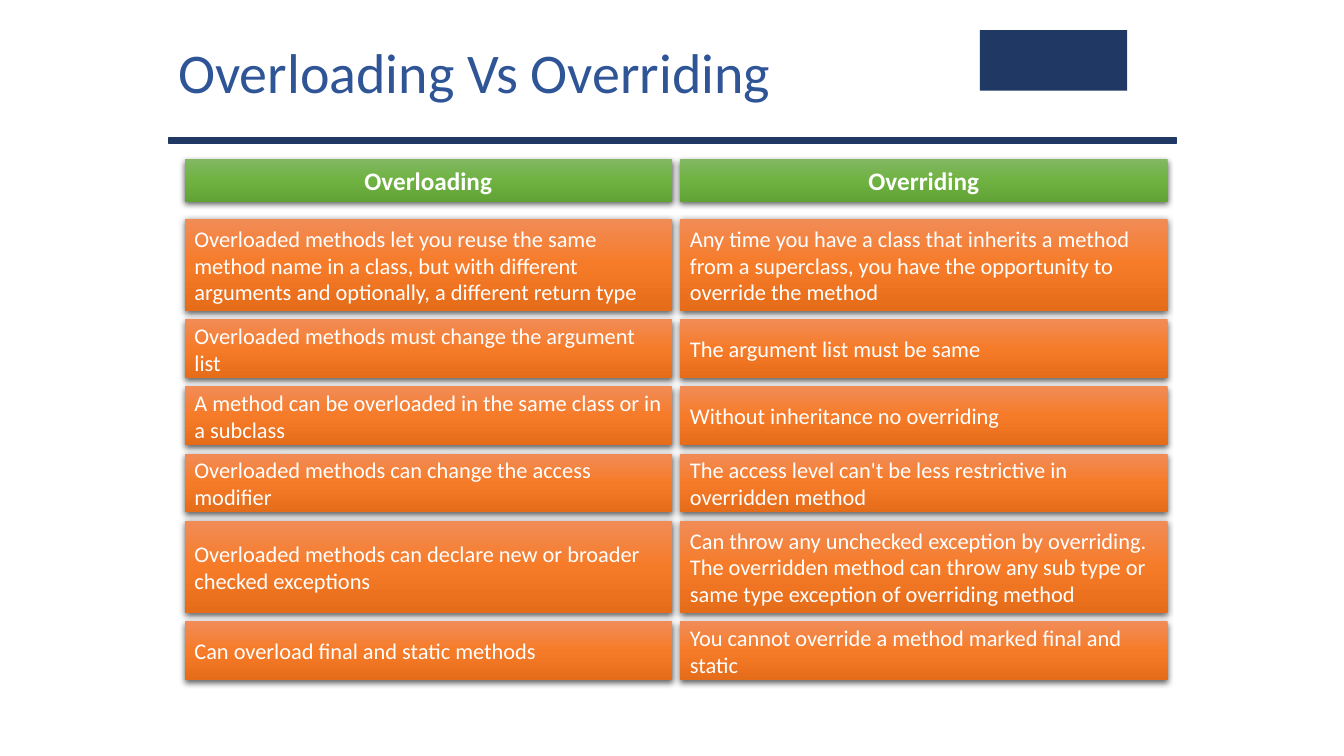
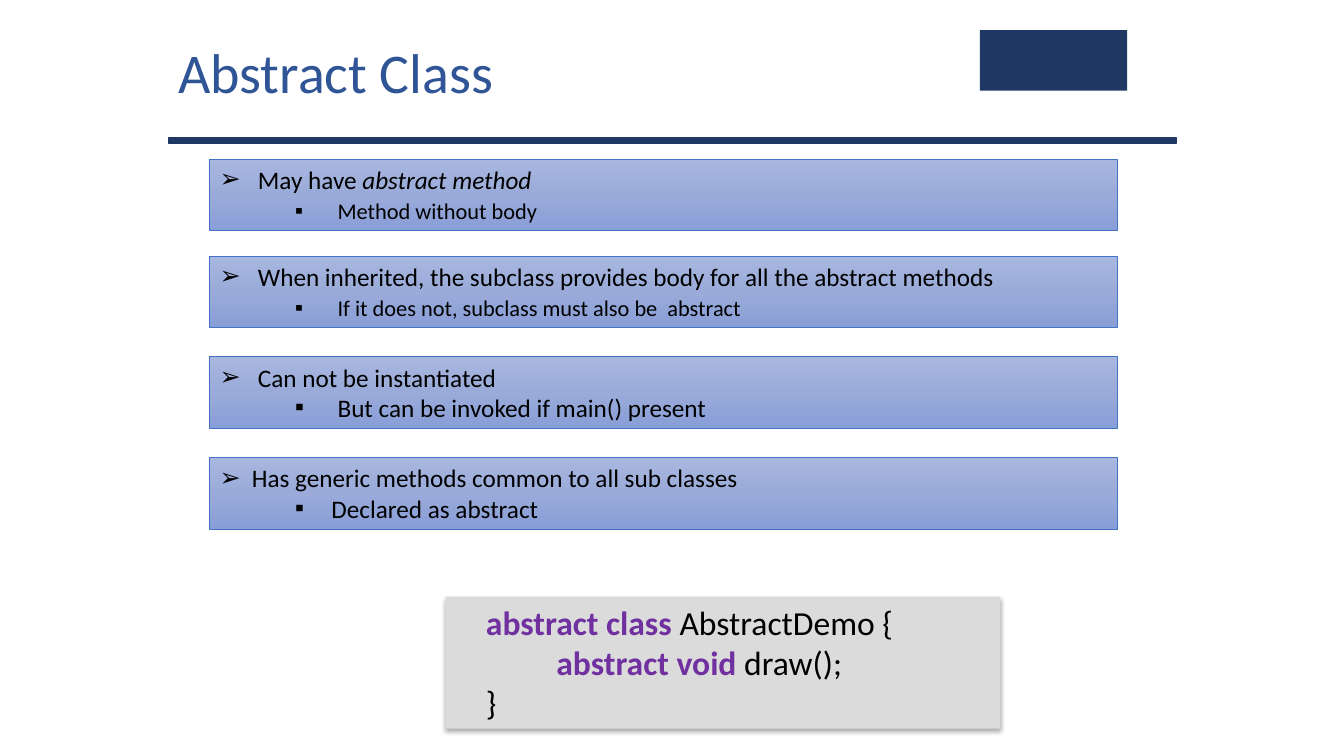
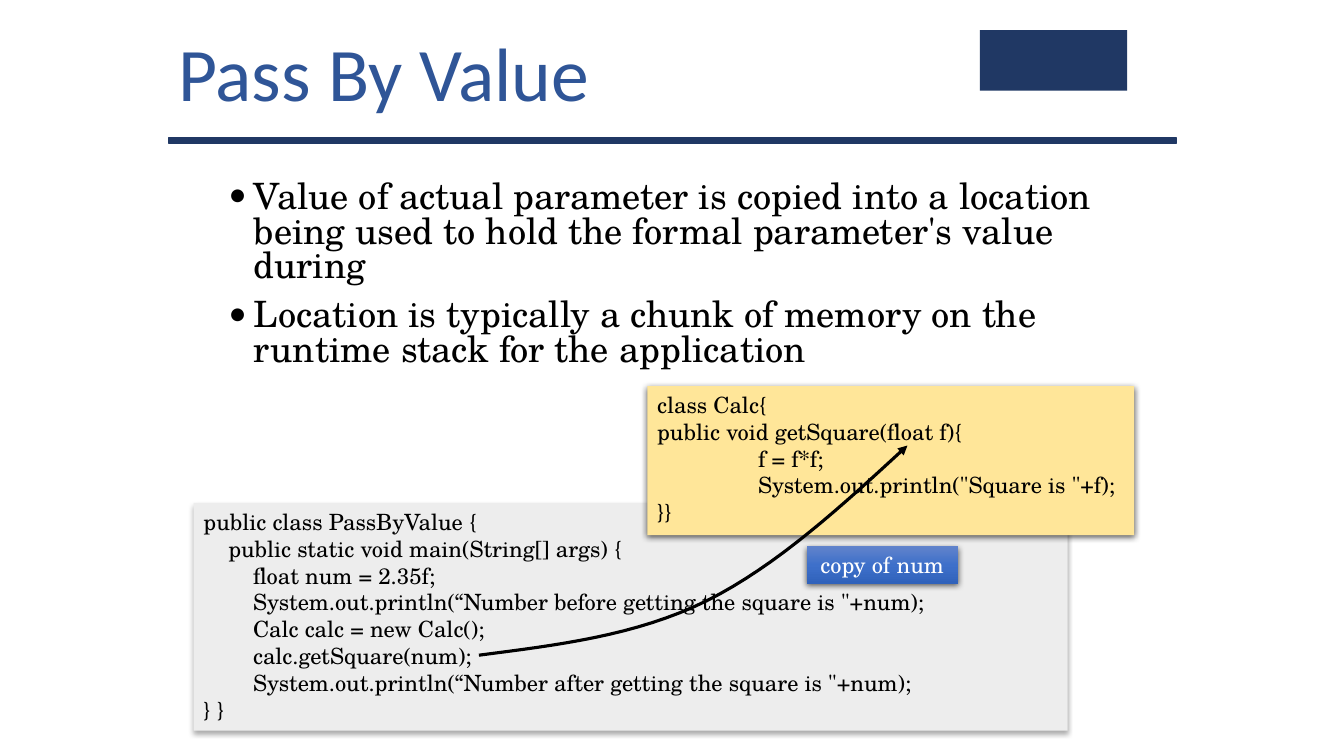
from dataclasses import dataclass

from lxml.etree import SubElement
from pptx import Presentation
from pptx.dml.color import RGBColor
from pptx.enum.shapes import MSO_SHAPE
from pptx.enum.text import MSO_ANCHOR, PP_ALIGN
from pptx.oxml.ns import qn
from pptx.util import Inches, Pt


@dataclass(frozen=True)
class Theme:
    # Fonts
    sans: str = "Calibri"
    serif: str = "TeX Gyre Schola"
    # Type sizes
    title: float = 40
    big_title: float = 54
    lead: float = 25.9
    demo: float = 24
    heading: float = 18
    body: float = 16
    # Colours
    navy: str = "203864"
    blue: str = "2F5597"
    outline: str = "4472C4"
    keyword: str = "7030A0"
    black: str = "000000"
    white: str = "FFFFFF"
    grey: str = "DBDBDB"
    pale_grey: str = "EDEDED"
    yellow: str = "FFE699"
    # Gradients, top to bottom
    green_fade: tuple = ("81B861", "6FB242", "62A336")
    orange_fade: tuple = ("F18C57", "F67B28", "E56C19")
    lilac_fade: tuple = ("A8B7DF", "9AABD9", "889ED7")
    blue_fade: tuple = ("6183CB", "3E70CA", "3062BB")
    # Shadows: opacity in percent, blur and distance in points
    strong_shadow: tuple = (63, 4.5, 1.5)
    soft_shadow: tuple = (32, 3.5, 2.2)


THEME = Theme()


def rgb(value):
    return RGBColor.from_string(value)


def place(box):
    return [Inches(length) for length in box]


# ---- Text ----

def add_bullet(paragraph, mark, margin, hanging):
    props = paragraph._p.get_or_add_pPr()
    props.set("marL", str(Inches(margin)))
    props.set("indent", str(-Inches(hanging)))
    SubElement(props, qn("a:buFont")).set("typeface", THEME.sans)
    SubElement(props, qn("a:buChar")).set("char", mark)


def add_code_tab(paragraph):
    tabs = SubElement(paragraph._p.get_or_add_pPr(), qn("a:tabLst"))
    stop = SubElement(tabs, qn("a:tab"))
    stop.set("pos", str(Inches(1)))
    stop.set("algn", "l")


def set_font(font, name, size, color, bold=False, italic=False):
    font.name, font.size = name, Pt(size)
    font.bold, font.italic = bold, italic
    font.color.rgb = rgb(color)


def fill_paragraph(paragraph, content, name, size, color, **style):
    """Content is plain text, or a list of (text, accent) runs."""
    paragraph.alignment = style.pop("align", PP_ALIGN.LEFT)
    set_font(paragraph.font, name, size, color, **style)
    for text, accent in [(content, {})] if isinstance(content, str) else content:
        for index, line in enumerate(text.splitlines()):
            if index:
                paragraph.add_line_break()
            run = paragraph.add_run()
            run.text = line
            if accent:
                set_font(run.font, name, size, **{"color": color, **accent})


def paragraphs(frame, count):
    return [frame.paragraphs[0]] + [frame.add_paragraph() for _ in range(count - 1)]


def add_text_frame(slide, box, anchor=MSO_ANCHOR.TOP):
    frame = slide.shapes.add_textbox(*place(box)).text_frame
    frame.word_wrap = True
    frame.vertical_anchor = anchor
    return frame


# ---- Panels ----

def add_shadow(shape, opacity, blur, distance):
    effects = shape._element.spPr.find(qn("a:effectLst"))
    shadow = SubElement(effects, qn("a:outerShdw"), blurRad=str(Pt(blur)),
                        dist=str(Pt(distance)), dir="5400000", rotWithShape="0")
    color = SubElement(shadow, qn("a:srgbClr"), val=THEME.black)
    SubElement(color, qn("a:alpha"), val=str(opacity * 1000))


def set_fade(shape, colors):
    shape.fill.gradient()
    shape.fill.gradient_angle = 270
    stops = shape._element.spPr.find(qn("a:gradFill")).find(qn("a:gsLst"))
    stops.clear()
    for index, color in enumerate(colors):
        stop = SubElement(stops, qn("a:gs"), pos=str(index * 50000))
        SubElement(stop, qn("a:srgbClr"), val=color)


def add_panel(slide, box, fill, line=None, weight=1, shadow=None, anchor=MSO_ANCHOR.TOP):
    panel = slide.shapes.add_shape(MSO_SHAPE.RECTANGLE, *place(box))
    if isinstance(fill, tuple):
        set_fade(panel, fill)
    else:
        panel.fill.solid()
        panel.fill.fore_color.rgb = rgb(fill)
    if line:
        panel.line.color.rgb = rgb(line)
        panel.line.width = Pt(weight)
    else:
        panel.line.fill.background()
    panel.shadow.inherit = False
    if shadow:
        add_shadow(panel, *shadow)
    panel.text_frame.word_wrap = True
    panel.text_frame.vertical_anchor = anchor
    return panel.text_frame


def add_code(slide, box, lines, name, size, fill, shadow):
    frame = add_panel(slide, box, fill, shadow=shadow)
    for paragraph, line in zip(paragraphs(frame, len(lines)), lines):
        add_code_tab(paragraph)
        fill_paragraph(paragraph, line, name, size, THEME.black)


# ---- Shared slide frame ----

def new_slide(deck, title, size=THEME.title):
    slide = deck.slides.add_slide(deck.slide_layouts[6])
    # Rule under the title and a plain block at the right
    add_panel(slide, (1.67, 1.37, 10, 0.05), THEME.navy, line=THEME.navy)
    add_panel(slide, (9.72, 0.3, 1.46, 0.6), THEME.navy)
    frame = add_text_frame(slide, (1.67, 0, 7.83, 1.42), MSO_ANCHOR.MIDDLE)
    fill_paragraph(frame.paragraphs[0], title, THEME.sans, size, THEME.blue)
    return slide


# ---- Slide 1: comparison ----

COMPARED = ("Overloading", "Overriding")
# Row weight, then one statement for each column
DIFFERENCES = [
    (11, "Overloaded methods let you reuse the same method name in a class, but with "
         "different arguments and optionally, a different return type",
     "Any time you have a class that inherits a method from a superclass, you have the "
     "opportunity to override the method"),
    (7, "Overloaded methods must change the argument list",
     "The argument list must be same"),
    (7, "A method can be overloaded in the same class or in a subclass",
     "Without inheritance no overriding"),
    (7, "Overloaded methods can change the access modifier",
     "The access level can't be less restrictive in overridden method"),
    (11, "Overloaded methods can declare new or broader checked exceptions",
     "Can throw any unchecked exception by overriding.\n"
     "The overridden method can throw any sub type or same type exception of "
     "overriding method"),
    (7, "Can overload final and static methods",
     "You cannot override a method marked final and static"),
]


def add_comparison(slide, box, gap=0.08, header_height=0.42, header_gap=0.17):
    left, top, width, height = box
    column_width = (width - gap) / 2

    def add_row(row_top, row_height, texts, fade, size, **style):
        for column, text in enumerate(texts):
            cell = (left + column * (column_width + gap), row_top, column_width, row_height)
            frame = add_panel(slide, cell, fade, shadow=THEME.strong_shadow,
                              anchor=MSO_ANCHOR.MIDDLE)
            fill_paragraph(frame.paragraphs[0], text, THEME.sans, size, THEME.white, **style)

    add_row(top, header_height, COMPARED, THEME.green_fade, THEME.heading,
            bold=True, align=PP_ALIGN.CENTER)

    row_top = top + header_height + header_gap
    free_height = top + height - row_top - gap * (len(DIFFERENCES) - 1)
    unit = free_height / sum(weight for weight, *_ in DIFFERENCES)
    for weight, *texts in DIFFERENCES:
        add_row(row_top, weight * unit, texts, THEME.orange_fade, THEME.body)
        row_top += weight * unit + gap


def build_comparison(deck):
    slide = new_slide(deck, "Overloading Vs Overriding")
    add_comparison(slide, (1.83, 1.58, 9.75, 5.17))


# ---- Slide 2: abstract class ----

# Top, text margin, main point, detail, detail size
FACTS = [
    (1.58, 0.38, [("May have ", {}), ("abstract method", {"italic": True})],
     "Method without body", THEME.body),
    (2.54, 0.38, "When inherited, the subclass provides body for all the abstract methods",
     "If it does not, subclass must also be  abstract", THEME.body),
    (3.54, 0.38, "Can not be instantiated",
     "But can be invoked if main() present", THEME.heading),
    (4.54, 0.32, "Has generic methods common to all sub classes",
     "Declared as abstract", THEME.heading),
]
KEYWORD = {"color": THEME.keyword, "bold": True}
ABSTRACT_DEMO = [
    [("    abstract class", KEYWORD), (" AbstractDemo {", {})],
    [("\tabstract void", KEYWORD), (" draw();", {})],
    "    }",
]


def add_fact(slide, box, margin, point, detail, detail_size):
    frame = add_panel(slide, box, THEME.lilac_fade, line=THEME.outline, weight=0.5)
    point_line, detail_line = paragraphs(frame, 2)
    add_bullet(point_line, "➢", margin, margin)
    fill_paragraph(point_line, point, THEME.sans, THEME.heading, THEME.black)
    # Smaller details keep the baseline of a full-size line
    detail_line.space_before = Pt(THEME.heading - detail_size)
    add_bullet(detail_line, "▪", margin + 0.79, margin + 0.04)
    fill_paragraph(detail_line, detail, THEME.sans, detail_size, THEME.black)


def build_abstract_class(deck):
    slide = new_slide(deck, "Abstract Class")
    for top, *fact in FACTS:
        add_fact(slide, (2.08, top, 9, 0.71), *fact)
    add_code(slide, (4.42, 5.92, 5.5, 1.31), ABSTRACT_DEMO, THEME.sans, THEME.demo,
             THEME.grey, THEME.soft_shadow)


# ---- Slide 3: pass by value ----

EXPLANATION = [
    "Value of actual parameter is copied into a location being used to hold the formal "
    "parameter's value during",
    "Location is typically a chunk of memory on the runtime stack for the application",
]
CALLER_CODE = [
    "public class PassByValue {",
    "    public static void main(String[] args) {",
    "        float num = 2.35f;",
    "        System.out.println(“Number before getting the square is \"+num);",
    "        Calc calc = new Calc();",
    "        calc.getSquare(num);",
    "        System.out.println(“Number after getting the square is \"+num);",
    "} }",
]
CALC_CODE = [
    "class Calc{",
    "public void getSquare(float f){",
    "\tf = f*f;",
    "\tSystem.out.println(\"Square is \"+f);",
    "}}",
]
# Bezier segments from the argument to the parameter
COPY_ROUTE = [
    ((4.75, 6.5), (5.52, 6.4), (6.3, 6.31), (7.01, 5.96)),
    ((7.01, 5.96), (7.71, 5.61), (8.36, 5.01), (9, 4.42)),
]


def bezier_point(segment, t):
    weights = ((1 - t) ** 3, 3 * t * (1 - t) ** 2, 3 * t ** 2 * (1 - t), t ** 3)
    return tuple(Inches(sum(w * point[axis] for w, point in zip(weights, segment)))
                 for axis in (0, 1))


def add_explanation(slide, box):
    frame = add_text_frame(slide, box)
    for index, paragraph in enumerate(paragraphs(frame, len(EXPLANATION))):
        paragraph.line_spacing = 0.8
        paragraph.space_before = Pt(10 if index else 0)
        add_bullet(paragraph, "•", 0.25, 0.25)
        fill_paragraph(paragraph, EXPLANATION[index], THEME.serif, THEME.lead, THEME.black)


def add_copy_arrow(slide, route, steps=16):
    points = [bezier_point(segment, step / steps)
              for segment in route for step in range(1, steps + 1)]
    outline = slide.shapes.build_freeform(*bezier_point(route[0], 0))
    outline.add_line_segments(points, close=False)
    arrow = outline.convert_to_shape()
    arrow.fill.background()
    arrow.line.color.rgb = rgb(THEME.black)
    arrow.line.width = Pt(2.25)
    arrow.shadow.inherit = False
    SubElement(arrow.line._get_or_add_ln(), qn("a:tailEnd"), type="triangle")


def build_pass_by_value(deck):
    slide = new_slide(deck, "Pass By Value", THEME.big_title)
    add_explanation(slide, (2.17, 1.75, 9, 2))
    add_code(slide, (1.92, 4.99, 8.67, 2.26), CALLER_CODE, THEME.serif, THEME.body,
             THEME.pale_grey, THEME.soft_shadow)
    add_code(slide, (6.42, 3.83, 4.83, 1.48), CALC_CODE, THEME.serif, THEME.body,
             THEME.yellow, THEME.strong_shadow)
    add_copy_arrow(slide, COPY_ROUTE)
    label = add_panel(slide, (8, 5.42, 1.5, 0.37), THEME.blue_fade,
                      shadow=THEME.strong_shadow)
    fill_paragraph(label.paragraphs[0], "copy of num", THEME.serif, THEME.body,
                   THEME.white, align=PP_ALIGN.CENTER)


def main():
    deck = Presentation()
    deck.slide_width, deck.slide_height = Inches(13.33), Inches(7.5)
    build_comparison(deck)
    build_abstract_class(deck)
    build_pass_by_value(deck)
    deck.save("out.pptx")


if __name__ == "__main__":
    main()
